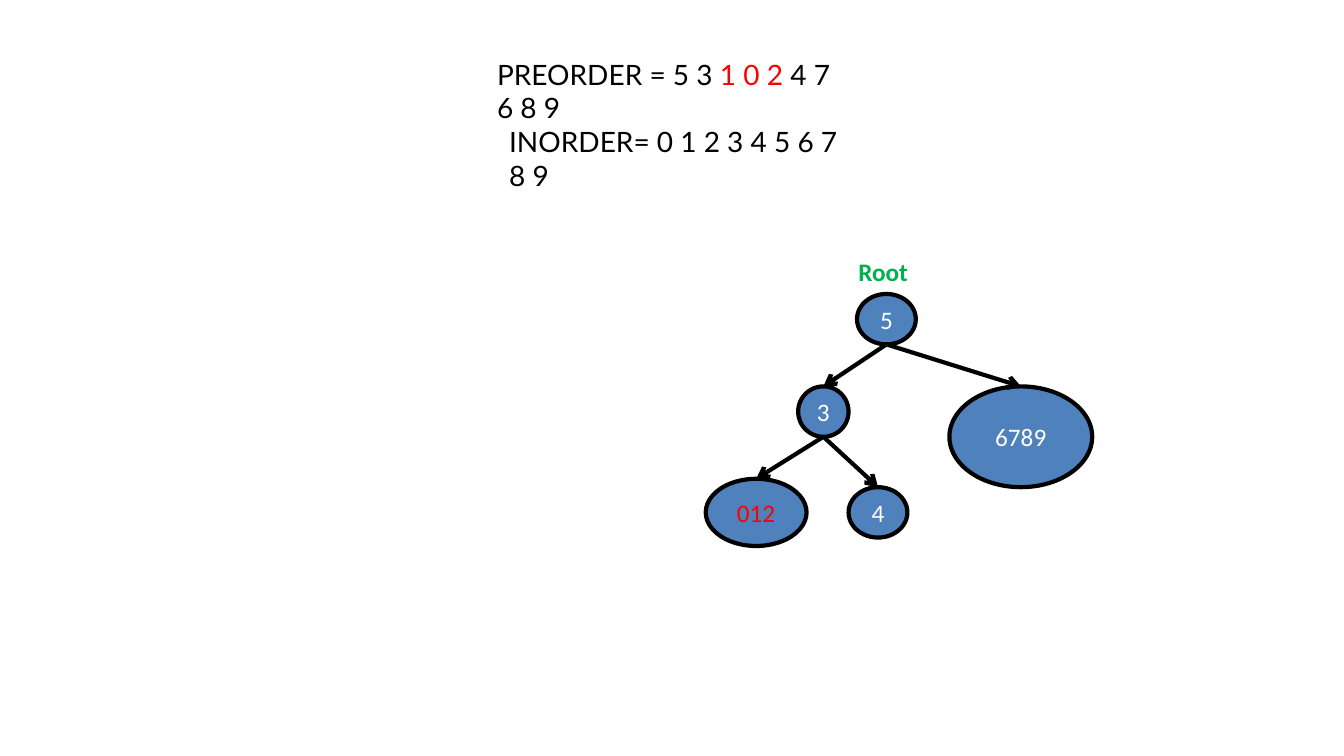
from lxml import etree
from pptx import Presentation
from pptx.dml.color import RGBColor
from pptx.enum.shapes import MSO_CONNECTOR as Connector, MSO_SHAPE as Shape
from pptx.enum.text import MSO_ANCHOR as Anchor, MSO_AUTO_SIZE as AutoSize, PP_ALIGN as Align
from pptx.oxml.ns import qn
from pptx.util import Inches, Pt

COLORS = {"ink": "000000", "node": "4F81BC", "light": "FFFFFF",
          "left_subtree": "FF0000", "root": "00AF50"}
CELL = Inches(1) / 12  # the tree sits on a grid of twelfths of an inch

# label: column, row, columns wide, rows high, label colour
NODES = {
    "5": (102, 35, 7, 6, "light"),
    "3": (95, 46, 6, 6, "light"),
    "6789": (113, 46, 17, 12, "light"),
    "012": (84, 57, 12, 8, "left_subtree"),
    "4": (101, 58, 7, 6, "light"),
}
EDGES = [("5", "3"), ("5", "6789"), ("3", "012"), ("3", "4")]

# indent in inches, then the coloured pieces of each traversal
TRAVERSALS = [
    (0.01, [("PREORDER = 5 3 ", "ink"), ("1 0 2 ", "left_subtree"), ("4 7 6 8 9", "ink")]),
    (0.13, [("INORDER= 0 1 2 3 4 5 6 7 8 9", "ink")]),
]


def color(name):
    return RGBColor.from_string(COLORS[name])


def grid(*cells):
    return [round(cell * CELL) for cell in cells]


def prepare_frame(frame):
    frame.margin_left = frame.margin_right = frame.margin_top = frame.margin_bottom = 0
    frame.vertical_anchor = Anchor.MIDDLE
    frame.auto_size = AutoSize.NONE
    frame.word_wrap = True


def write_label(frame, words, ink, bold=False):
    prepare_frame(frame)
    label = frame.paragraphs[0]
    label.text = words
    label.alignment = Align.CENTER
    label.font.name, label.font.size, label.font.bold = "Calibri", Pt(18), bold
    label.font.color.rgb = color(ink)


def write_traversals(title):
    title.left, title.top = Inches(4.92), Inches(0.89)
    title.width, title.height = Inches(3.5), Inches(0.69)
    frame = title.text_frame
    prepare_frame(frame)
    for number, (indent, pieces) in enumerate(TRAVERSALS):
        order = frame.add_paragraph() if number else frame.paragraphs[0]
        order.alignment = Align.LEFT
        order._p.get_or_add_pPr().set("marL", str(Inches(indent)))
        order.space_before = Pt(0)
        order.font.name, order.font.size = "Lato", Pt(20)
        for words, ink in pieces:
            piece = order.add_run()
            piece.text = words
            piece.font.color.rgb = color(ink)


def add_node(slide, label):
    *place, ink = NODES[label]
    node = slide.shapes.add_shape(Shape.OVAL, *grid(*place))
    node.shadow.inherit = False
    node.fill.solid()
    node.fill.fore_color.rgb = color("node")
    node.line.color.rgb = color("ink")
    node.line.width = Pt(3)
    write_label(node.text_frame, label, ink)
    node.text_frame.word_wrap = False


def add_edge(slide, parent, child):
    # From the bottom of the parent to the top of the child
    left, top, width, height, _ = NODES[parent]
    child_left, child_top, child_width, *_ = NODES[child]
    ends = grid(left + width / 2, top + height, child_left + child_width / 2, child_top)
    edge = slide.shapes.add_connector(Connector.STRAIGHT, *ends)
    edge.line.color.rgb = color("ink")
    edge.line.width = Pt(3)
    etree.SubElement(edge.line._get_or_add_ln(), qn("a:tailEnd"), type="arrow")
    etree.SubElement(edge._element.spPr, qn("a:effectLst"))


def main():
    deck = Presentation()
    deck.slide_width, deck.slide_height = Inches(13.33), Inches(7.5)
    slide = deck.slides.add_slide(deck.slide_layouts[5])

    # Traversal orders
    write_traversals(slide.shapes.title)

    # Tree
    for label in NODES:
        add_node(slide, label)
    for parent, child in EDGES:
        add_edge(slide, parent, child)

    # Root caption
    caption = slide.shapes.add_textbox(Inches(8.46), Inches(2.53), Inches(0.6), Inches(0.33))
    write_label(caption.text_frame, "Root", "root", bold=True)

    deck.save("out.pptx")


if __name__ == "__main__":
    main()
